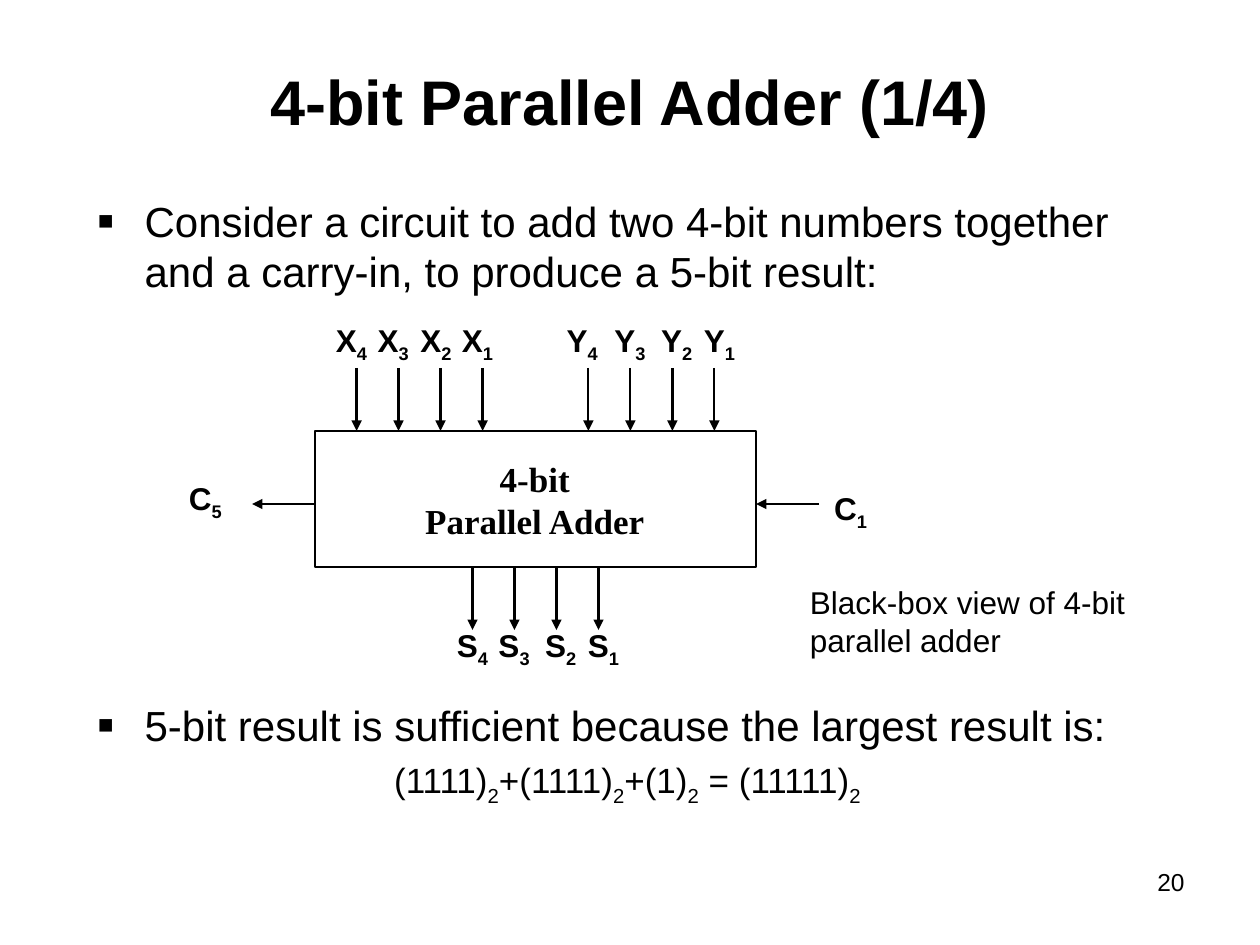
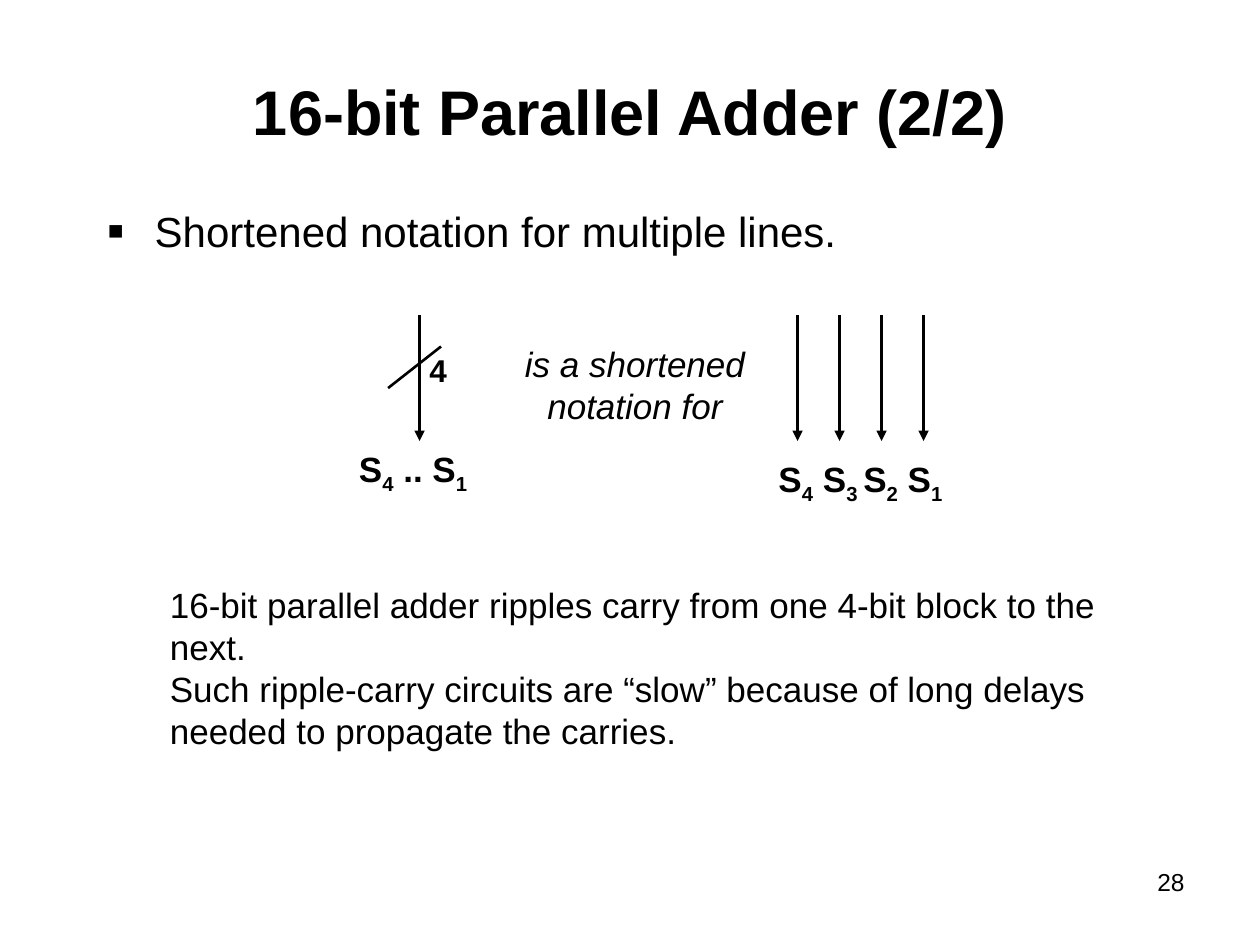
from pptx import Presentation
from pptx.dml.color import RGBColor
from pptx.enum.shapes import MSO_CONNECTOR, MSO_SHAPE
from pptx.enum.text import MSO_ANCHOR, PP_ALIGN
from pptx.oxml.ns import qn
from pptx.util import Inches, Pt
from lxml.etree import SubElement

BLACK = RGBColor(0, 0, 0)
WHITE = RGBColor(255, 255, 255)
SANS = "Arial"
SERIF = "Times New Roman"
BIT_PITCH = 1 / 3


def write(paragraph, text, size=18, font=SANS, bold=False, italic=False,
          align=PP_ALIGN.LEFT, before=0, subscript=-25, bullet=False, indent=0):
    properties = paragraph._p.get_or_add_pPr()
    if bullet:
        properties.set("marL", str(Inches(0.38)))
        properties.set("indent", str(Inches(-0.38)))
        color = SubElement(properties, qn("a:buClr"))
        SubElement(color, qn("a:srgbClr"), val=str(BLACK))
        SubElement(properties, qn("a:buSzPct"), val="120000")
        SubElement(properties, qn("a:buFont"), typeface=SANS)
        SubElement(properties, qn("a:buChar"), char="▪")
    elif indent:
        properties.set("marL", str(Inches(indent)))
    paragraph.alignment = align
    paragraph.space_before = Pt(before)
    for position, piece in enumerate(text.split("|")):
        if not piece:
            continue
        run = paragraph.add_run()
        run.text = piece
        run.font.name = font
        run.font.size = Pt(size)
        run.font.bold = bold
        run.font.italic = italic
        run.font.color.rgb = BLACK
        if position % 2:
            run.font._element.set("baseline", str(subscript * 1000))


class Deck:
    def __init__(self):
        self.presentation = Presentation()
        self.presentation.slide_width = Inches(10)
        self.presentation.slide_height = Inches(7.5)
        self.slide = None

    def start_slide(self, title, number, title_top):
        self.slide = self.presentation.slides.add_slide(self.presentation.slide_layouts[6])
        self.slide.background.fill.solid()
        self.slide.background.fill.fore_color.rgb = WHITE
        self.text(0.75, title_top, 8.5, 1.25, title, size=36, bold=True,
                  align=PP_ALIGN.CENTER, anchor=MSO_ANCHOR.MIDDLE)
        self.text(7.17, 6.83, 2.33, 0.52, str(number), size=14, align=PP_ALIGN.RIGHT)

    def text(self, left, top, width, height, *lines, anchor=MSO_ANCHOR.TOP, **style):
        box = self.slide.shapes.add_textbox(
            Inches(left), Inches(top), Inches(width), Inches(height))
        frame = box.text_frame
        frame.word_wrap = True
        frame.vertical_anchor = anchor
        for index, line in enumerate(lines):
            paragraph = frame.add_paragraph() if index else frame.paragraphs[0]
            write(paragraph, line, **style)
        return frame

    def bullet(self, left, top, height, line):
        return self.text(left, top, 8.5, height, line, size=24, bullet=True)

    def signal(self, center, top, name, bit):
        self.text(center - 0.29, top, 0.58, 0.44, f"{name}|{bit}|",
                  bold=True, align=PP_ALIGN.CENTER)

    def block(self, left, top, width, height):
        block = self.slide.shapes.add_shape(
            MSO_SHAPE.RECTANGLE, Inches(left), Inches(top), Inches(width), Inches(height))
        block.shadow.inherit = False
        block.fill.background()
        block.line.color.rgb = BLACK
        block.line.width = Pt(1.5)

    def line(self, x1, y1, x2, y2, weight=1.25, arrow=True):
        line = self.slide.shapes.add_connector(
            MSO_CONNECTOR.STRAIGHT, Inches(x1), Inches(y1), Inches(x2), Inches(y2))
        line.line.color.rgb = BLACK
        line.line.width = Pt(weight)
        if arrow:
            SubElement(line.line._get_or_add_ln(), qn("a:tailEnd"), type="triangle")
        SubElement(line._element.spPr, qn("a:effectLst"))

    def bus(self, left, top, bottom, weight=1.25):
        for bit in range(4):
            x = left + bit * BIT_PITCH
            self.line(x, top, x, bottom, weight)


def build_black_box(deck):
    deck.start_slide("4-bit Parallel Adder (1/4)", 20, title_top=0.17)
    deck.bullet(0.67, 1.5, 1, "Consider a circuit to add two 4-bit numbers together "
                "and a carry-in, to produce a 5-bit result:")

    deck.block(2.5, 3.42, 3.5, 1.08)
    deck.text(3.08, 3.58, 2.33, 0.77, "4-bit", "Parallel Adder",
              size=20, font=SERIF, bold=True, align=PP_ALIGN.CENTER)

    buses = [
        ("X", 2.83, 2.92, 3.42, 2.5, (2.79, 3.12, 3.46, 3.79)),
        ("Y", 4.67, 2.92, 3.42, 2.5, (4.62, 5, 5.37, 5.71)),
        ("S", 3.75, 4.5, 5, 4.92, (3.75, 4.08, 4.45, 4.79)),
    ]
    for name, left, top, bottom, label_top, centers in buses:
        deck.bus(left, top, bottom)
        for bit, center in zip((4, 3, 2, 1), centers):
            deck.signal(center, label_top, name, bit)

    deck.line(2.5, 4, 2, 4)
    deck.signal(1.63, 3.75, "C", 5)
    deck.line(6.5, 4, 6, 4)
    deck.signal(6.75, 3.83, "C", 1)

    deck.text(6.33, 4.58, 2.75, 0.7, "Black-box view of 4-bit parallel adder")
    conclusion = deck.bullet(0.67, 5.5, 1.08,
                             "5-bit result is sufficient because the largest result is:")
    write(conclusion.add_paragraph(), "(1111)|2|+(1111)|2|+(1)|2| = (11111)|2|",
          size=20, before=5, subscript=-30, indent=2.36)


def build_short_notation(deck):
    deck.start_slide("16-bit Parallel Adder (2/2)", 28, title_top=0.25)
    deck.bullet(0.75, 1.58, 0.58, "Shortened notation for multiple lines.")

    deck.line(3.33, 2.5, 3.33, 3.5, weight=1.5)
    deck.line(3.5, 2.75, 3.08, 3.08, weight=1.5, arrow=False)
    deck.text(3.31, 2.74, 0.33, 0.4, "4", bold=True)
    deck.text(2.75, 3.5, 1.25, 0.48, "S|4| .. S|1|", size=20, bold=True)

    deck.text(4, 2.67, 2.08, 0.77, "is a shortened notation for",
              size=20, italic=True, align=PP_ALIGN.CENTER)

    deck.bus(6.33, 2.5, 3.5, weight=1.5)
    deck.text(6.08, 3.58, 1.58, 0.48, "S|4| S|3 |S|2| S|1|", size=20, bold=True)

    deck.text(1.25, 4.58, 8, 1.42,
              "16-bit parallel adder ripples carry from one 4-bit block to the next.",
              "Such ripple-carry circuits are “slow” because of long delays "
              "needed to propagate the carries.", size=20)


def main():
    deck = Deck()
    build_black_box(deck)
    build_short_notation(deck)
    deck.presentation.save("out.pptx")


if __name__ == "__main__":
    main()
